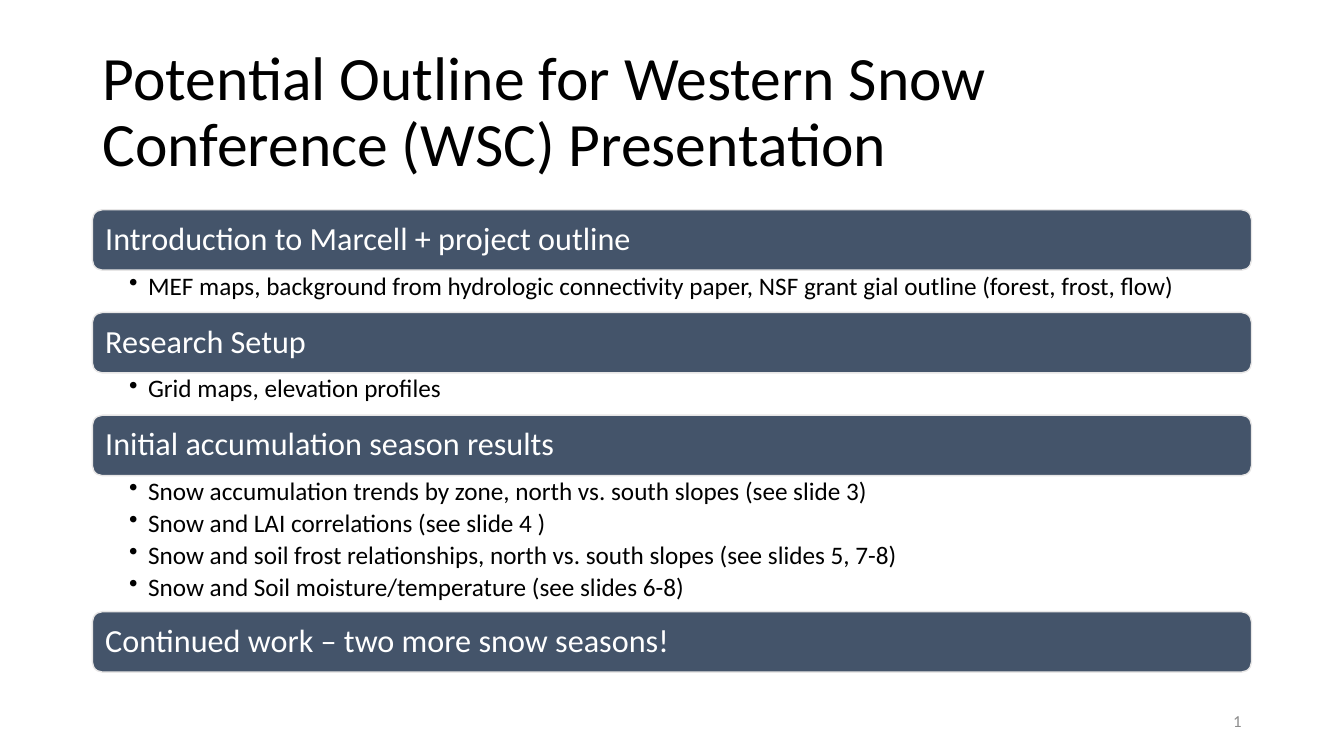
from lxml import etree
from pptx import Presentation
from pptx.dml.color import RGBColor
from pptx.enum import shapes, text
from pptx.oxml import ns
from pptx.util import Pt

BLACK = RGBColor(0x00, 0x00, 0x00)
WHITE = RGBColor(0xFF, 0xFF, 0xFF)
SLATE = RGBColor(0x44, 0x54, 0x6A)
PALE = RGBColor(0xE7, 0xE6, 0xE6)
GRAY = RGBColor(0x8C, 0x8C, 0x8C)

LEFT, WIDTH = 66, 828
SECTIONS_TOP = 149.8
BAR_HEIGHT = 43.2
LIST_PADDING, LIST_LINE = 7.9, 22.3  # list height = padding + lines

SECTIONS = [
    ("Introduction to Marcell + project outline", [
        "MEF maps, background from hydrologic connectivity paper, "
        "NSF grant gial outline (forest, frost, flow)"]),
    ("Research Setup", ["Grid maps, elevation profiles"]),
    ("Initial accumulation season results", [
        "Snow accumulation trends by zone, north vs. south slopes (see slide 3)",
        "Snow and LAI correlations (see slide 4 )",
        "Snow and soil frost relationships, north vs. south slopes (see slides 5, 7-8)",
        "Snow and Soil moisture/temperature (see slides 6-8)"]),
    ("Continued work – two more snow seasons!", []),
]


def apply(target, **values):
    for name, value in values.items():
        setattr(target, name, value)


class OutlineSlide:
    font = "Calibri"

    def __init__(self, presentation):
        self.slide = presentation.slides.add_slide(presentation.slide_layouts[5])

    def style(self, paragraph, size, color, **values):
        apply(paragraph, **values)
        apply(paragraph.font, name=self.font, size=Pt(size))
        paragraph.font.color.rgb = color

    def frame(self, shape, insets, anchor):
        left, top, right, bottom = map(Pt, insets)
        apply(shape.text_frame, word_wrap=True, vertical_anchor=anchor,
              auto_size=text.MSO_AUTO_SIZE.NONE, margin_left=left,
              margin_top=top, margin_right=right, margin_bottom=bottom)
        return shape.text_frame

    def title(self, wording, left, top, width, height):
        shape = self.slide.shapes.title
        apply(shape, left=Pt(left), top=Pt(top), width=Pt(width), height=Pt(height))
        frame = self.frame(shape, (7.2, 3.6, 7.2, 3.6), text.MSO_ANCHOR.MIDDLE)
        frame.text = wording
        self.style(frame.paragraphs[0], 44, BLACK, line_spacing=0.9,
                   alignment=text.PP_ALIGN.LEFT)

    def bar(self, heading, top):
        shape = self.slide.shapes.add_shape(
            shapes.MSO_SHAPE.ROUNDED_RECTANGLE,
            Pt(LEFT), Pt(top), Pt(WIDTH), Pt(BAR_HEIGHT))
        shape.shadow.inherit = False
        shape.fill.solid()
        shape.fill.fore_color.rgb = SLATE
        shape.line.color.rgb = PALE
        shape.line.width = Pt(1)
        frame = self.frame(shape, (7.2, 7.2, 7.2, 7.2), text.MSO_ANCHOR.MIDDLE)
        frame.text = heading
        self.style(frame.paragraphs[0], 23, WHITE, line_spacing=0.9,
                   alignment=text.PP_ALIGN.LEFT)

    def bullets(self, items, top, height):
        shape = self.slide.shapes.add_textbox(
            Pt(LEFT), Pt(top), Pt(WIDTH), Pt(height))
        frame = self.frame(shape, (26.3, 2.2, 13, 2.2), text.MSO_ANCHOR.TOP)
        frame.text = "\n".join(items)
        for paragraph in frame.paragraphs:
            self.style(paragraph, 18, BLACK, level=1, line_spacing=0.9,
                       space_after=Pt(3.4))
            properties = paragraph._p.get_or_add_pPr()
            properties.set("marL", str(Pt(13.5)))
            properties.set("indent", str(-Pt(13.5)))
            bullet = etree.Element(ns.qn("a:buChar"), char="•")
            properties.find(ns.qn("a:defRPr")).addprevious(bullet)

    def number(self, left, top, width, height):
        shape = self.slide.shapes.add_textbox(
            Pt(left), Pt(top), Pt(width), Pt(height))
        frame = self.frame(shape, (7.2, 3.6, 7.2, 3.6), text.MSO_ANCHOR.MIDDLE)
        paragraph = frame.paragraphs[0]
        paragraph.alignment = text.PP_ALIGN.RIGHT
        run = paragraph.add_run()
        run.text = "1"
        self.style(run, 12, GRAY)
        # Turn the run into a slide number field
        field = etree.SubElement(
            paragraph._p, ns.qn("a:fld"), type="slidenum",
            id="{B6F15528-21DE-4FAA-801E-634DDDAF4B2B}")
        field.extend(list(run._r))
        paragraph._p.remove(run._r)


def main():
    presentation = Presentation()
    apply(presentation, slide_width=Pt(960), slide_height=Pt(540))
    outline = OutlineSlide(presentation)

    # Title
    outline.title("Potential Outline for Western Snow Conference (WSC) Presentation",
                  LEFT, 28.8, WIDTH, 104.4)

    # Section bars, each followed by its list
    top = SECTIONS_TOP
    for heading, items in SECTIONS:
        outline.bar(heading, top)
        top += BAR_HEIGHT
        if items:
            height = LIST_PADDING + LIST_LINE * len(items)
            outline.bullets(items, top, height)
            top += height

    # Slide number
    outline.number(678, 500.5, 216, 28.8)
    presentation.save("out.pptx")


if __name__ == "__main__":
    main()
